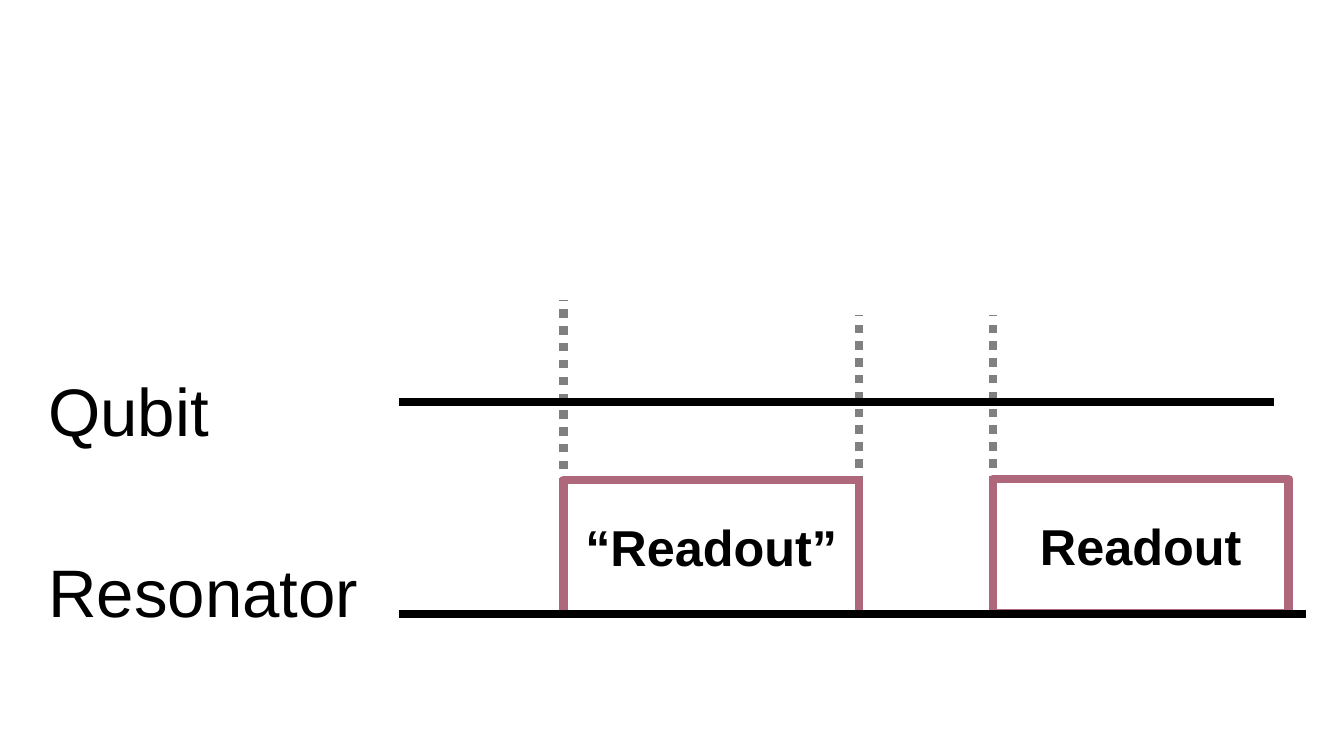
"""Build the qubit and resonator readout timing slide."""
from dataclasses import dataclass

from lxml.etree import SubElement
from pptx import Presentation
from pptx.dml.color import RGBColor
from pptx.enum.dml import MSO_LINE
from pptx.enum.shapes import MSO_CONNECTOR, MSO_SHAPE
from pptx.enum.text import MSO_ANCHOR, MSO_AUTO_SIZE, PP_ALIGN
from pptx.oxml.ns import qn
from pptx.slide import Slide
from pptx.text.text import TextFrame
from pptx.util import Emu, Pt

EMU_PER_PX = 9144
COLORS = {"ink": "000000", "marker": "808080", "pulse": "AF677C"}
FONT_NAME = "Arial"
LINE_WIDTH = Pt(6)
MARKER_LENGTH = 251


@dataclass(frozen=True)
class Marker:
    x: int
    bottom: int


@dataclass(frozen=True)
class Pulse:
    text: str
    left: int
    top: int
    width: int = 293
    height: int = 133


@dataclass(frozen=True)
class Channel:
    name: str
    label_top: int
    label_width: int
    line_y: int
    line_end: int
    label_left: int = 38
    label_height: int = 91
    line_start: int = 396


MARKERS = [Marker(985, 564), Marker(852, 564), Marker(559, 549)]
PULSES = [Pulse("Readout", 985, 475), Pulse("“Readout”", 559, 476)]
CHANNELS = [
    Channel("Resonator", 541, 331, 609, 1295),
    Channel("Qubit", 361, 181, 399, 1264),
]


def px(length: int) -> Emu:
    return Emu(length * EMU_PER_PX)


def color(name: str) -> RGBColor:
    return RGBColor.from_string(COLORS[name])


def write_text(frame: TextFrame, text: str, size: int, bold: bool = False) -> None:
    paragraph = frame.paragraphs[0]
    paragraph.text = text
    paragraph.font.name = FONT_NAME
    paragraph.font.size = Pt(size)
    paragraph.font.bold = bold
    paragraph.font.color.rgb = color("ink")


def draw_line(slide: Slide, start: tuple[int, int], end: tuple[int, int],
              color_name: str, dash: MSO_LINE | None = None) -> None:
    connector = slide.shapes.add_connector(
        MSO_CONNECTOR.STRAIGHT, *map(px, start), *map(px, end))
    connector.line.color.rgb = color(color_name)
    connector.line.width = LINE_WIDTH
    if dash is not None:
        connector.line.dash_style = dash
    SubElement(connector._element.spPr, qn("a:effectLst"))


def draw_marker(slide: Slide, marker: Marker) -> None:
    draw_line(slide, (marker.x, marker.bottom),
              (marker.x, marker.bottom - MARKER_LENGTH),
              "marker", MSO_LINE.ROUND_DOT)


def draw_pulse(slide: Slide, pulse: Pulse) -> None:
    shape = slide.shapes.add_shape(
        MSO_SHAPE.RECTANGLE, px(pulse.left), px(pulse.top),
        px(pulse.width), px(pulse.height))
    shape.shadow.inherit = False
    shape.fill.background()
    shape.line.color.rgb = color("pulse")
    shape.line.width = LINE_WIDTH
    frame = shape.text_frame
    frame.vertical_anchor = MSO_ANCHOR.MIDDLE
    write_text(frame, pulse.text, 36, bold=True)
    frame.paragraphs[0].alignment = PP_ALIGN.CENTER


def draw_channel(slide: Slide, channel: Channel) -> None:
    draw_line(slide, (channel.line_start, channel.line_y),
              (channel.line_end, channel.line_y), "ink")
    label = slide.shapes.add_textbox(
        px(channel.label_left), px(channel.label_top),
        px(channel.label_width), px(channel.label_height))
    frame = label.text_frame
    frame.word_wrap = False
    frame.auto_size = MSO_AUTO_SIZE.SHAPE_TO_FIT_TEXT
    write_text(frame, channel.name, 48)


def main() -> None:
    presentation = Presentation()
    presentation.slide_width = px(1333)
    presentation.slide_height = px(750)
    slide = presentation.slides.add_slide(presentation.slide_layouts[6])
    for marker in MARKERS:
        draw_marker(slide, marker)
    for pulse in PULSES:
        draw_pulse(slide, pulse)
    for channel in CHANNELS:
        draw_channel(slide, channel)
    presentation.save("out.pptx")


if __name__ == "__main__":
    main()
